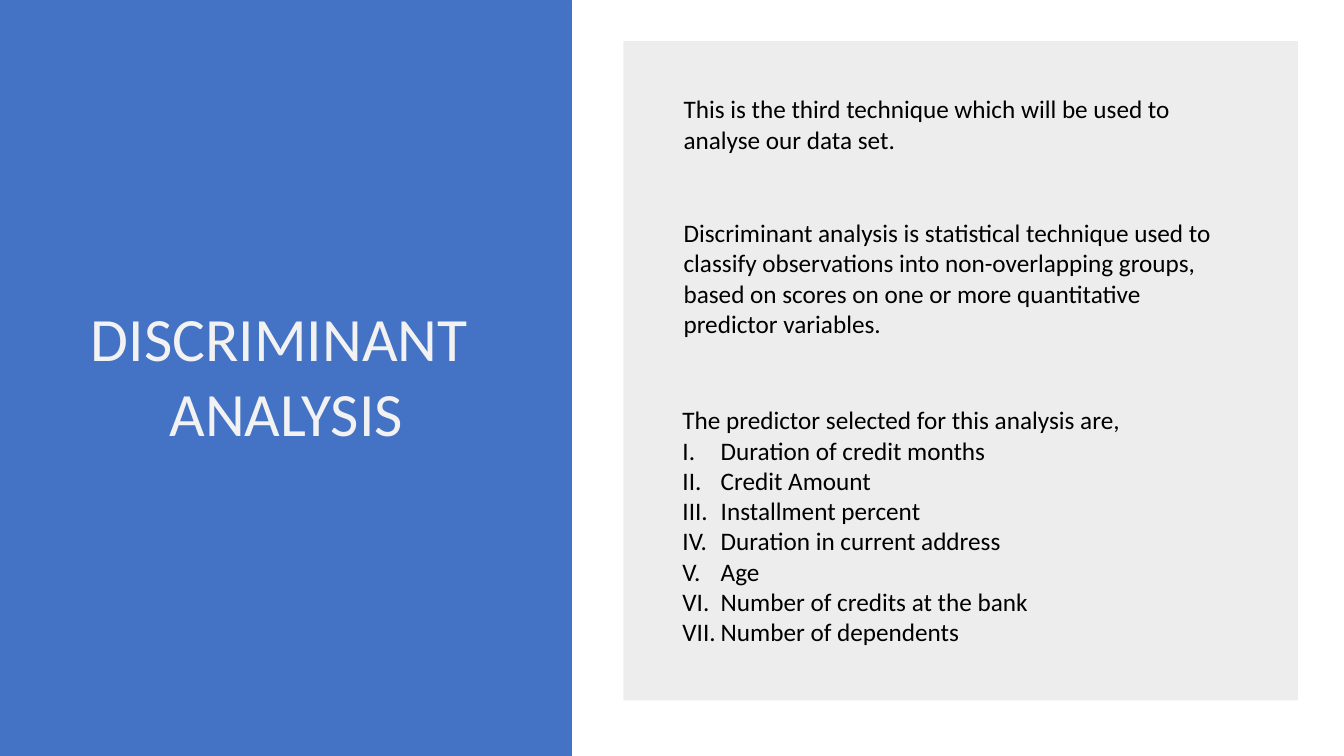
from pptx import Presentation
from pptx.dml.color import RGBColor
from pptx.enum.shapes import MSO_SHAPE
from pptx.enum.text import MSO_ANCHOR, PP_ALIGN
from pptx.oxml.ns import qn
from pptx.util import Inches, Pt
from lxml.etree import SubElement


def tint(code):
    """Turn a hex string into a colour."""
    return RGBColor.from_string(code)


class Page:
    """Hold the style and the current slide, laid out on an 80 by 45 grid."""

    font = "Calibri"
    blue, grey, pale, ink = "4472C4", "EDEDED", "F2F2F2", "000000"
    cols, rows = 80, 45

    def __init__(self, deck):
        """Add a blank slide and work out the grid steps."""
        self.slide = deck.slides.add_slide(deck.slide_layouts[6])
        self.col = deck.slide_width / self.cols
        self.row = deck.slide_height / self.rows

    def area(self, left, top, width, height):
        """Turn columns and rows into lengths."""
        return (round(left * self.col), round(top * self.row),
                round(width * self.col), round(height * self.row))

    def style(self, frame, size, color):
        """Format every run of a text frame."""
        frame.word_wrap = True
        for para in frame.paragraphs:
            for run in para.runs:
                run.font.name = self.font
                run.font.size = Pt(size)
                run.font.color.rgb = tint(color)

    def panel(self, fill, *place):
        """Draw a flat rectangle."""
        shape = self.slide.shapes.add_shape(MSO_SHAPE.RECTANGLE, *self.area(*place))
        shape.shadow.inherit = False
        shape.fill.solid()
        shape.fill.fore_color.rgb = tint(fill)
        shape.line.fill.background()
        return shape

    def title(self, text, *place):
        """Draw the blue panel with its centred title."""
        shape = self.panel(self.blue, *place)
        shape.line.color.rgb = tint(self.blue)
        shape.line.width = Pt(0.75)
        frame = shape.text_frame
        frame.text = text
        frame.vertical_anchor = MSO_ANCHOR.MIDDLE
        for para in frame.paragraphs:
            para.alignment = PP_ALIGN.CENTER
            para.line_spacing = 0.9
            para.space_after = Pt(6)
        self.style(frame, 44, self.pale)

    def text(self, text, *place):
        """Add a body text box and return its frame."""
        frame = self.slide.shapes.add_textbox(*self.area(*place)).text_frame
        frame.text = text
        self.style(frame, 18, self.ink)
        return frame

    def roman(self, intro, items, *place):
        """Add an intro line followed by a list in Roman numerals."""
        frame = self.text("\n".join([intro, *items]), *place)
        indent = Inches(0.38)
        for para in frame.paragraphs[1:]:
            props = para._p.get_or_add_pPr()
            props.set("marL", str(indent))
            props.set("indent", str(-indent))
            SubElement(props, qn("a:buFont"), typeface=self.font)
            SubElement(props, qn("a:buAutoNum"), type="romanUcPeriod")


def main():
    """Build and save the slide."""
    deck = Presentation()
    deck.slide_width, deck.slide_height = Inches(13.33), Inches(7.5)
    page = Page(deck)
    page.title("DISCRIMINANT \nANALYSIS", 0.05, 0.05, 34, 45)
    page.panel(page.grey, 37.1, 2.45, 40.15, 39.25)
    page.text("This is the third technique which will be used to analyse our data set.",
              40.1, 5.28, 31.6, 4.25)
    page.text("Discriminant analysis is statistical technique used to classify "
              "observations into non-overlapping groups, based on scores on one "
              "or more quantitative predictor variables.",
              40.1, 12.65, 32.6, 7.85)
    predictors = ["Duration of credit months", "Credit Amount", "Installment percent",
                  "Duration in current address", "Age",
                  "Number of credits at the bank", "Number of dependents"]
    page.roman("The predictor selected for this analysis are,", predictors,
               40.03, 23.8, 34.65, 17)
    deck.save("out.pptx")


if __name__ == "__main__":
    main()
